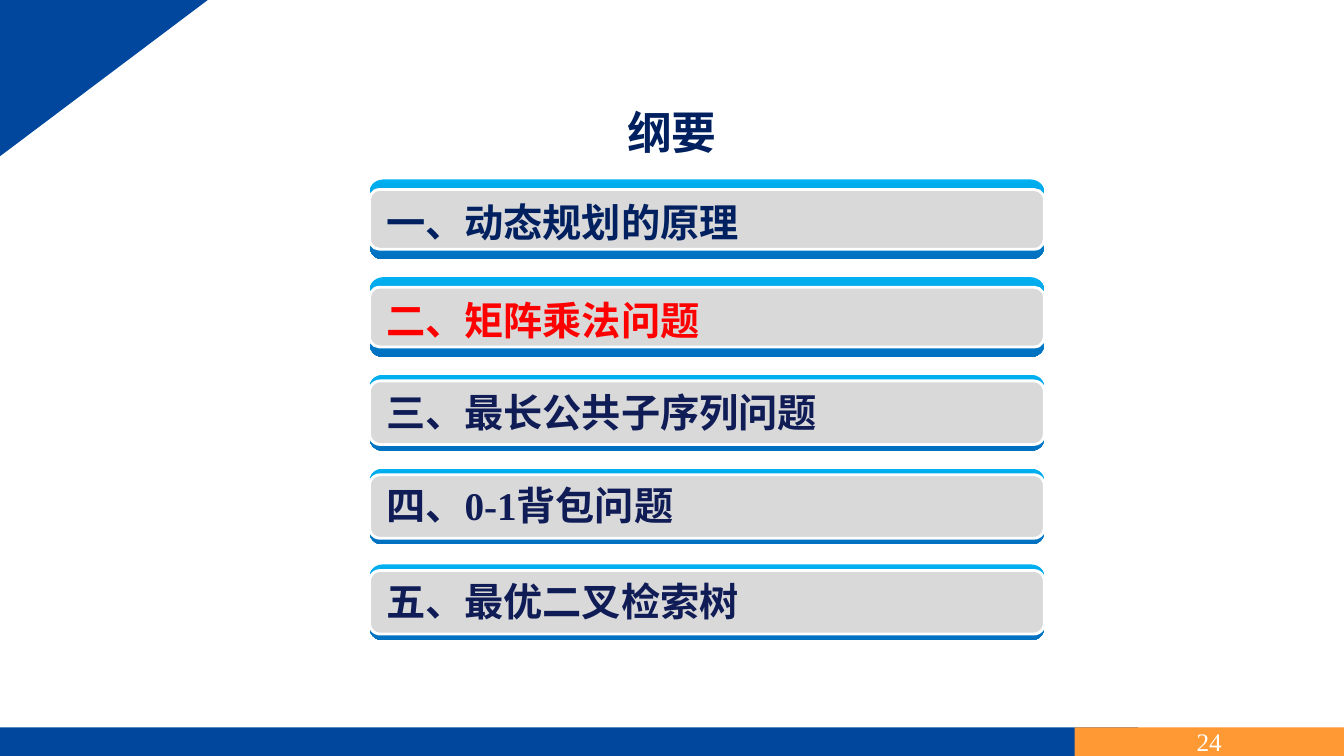
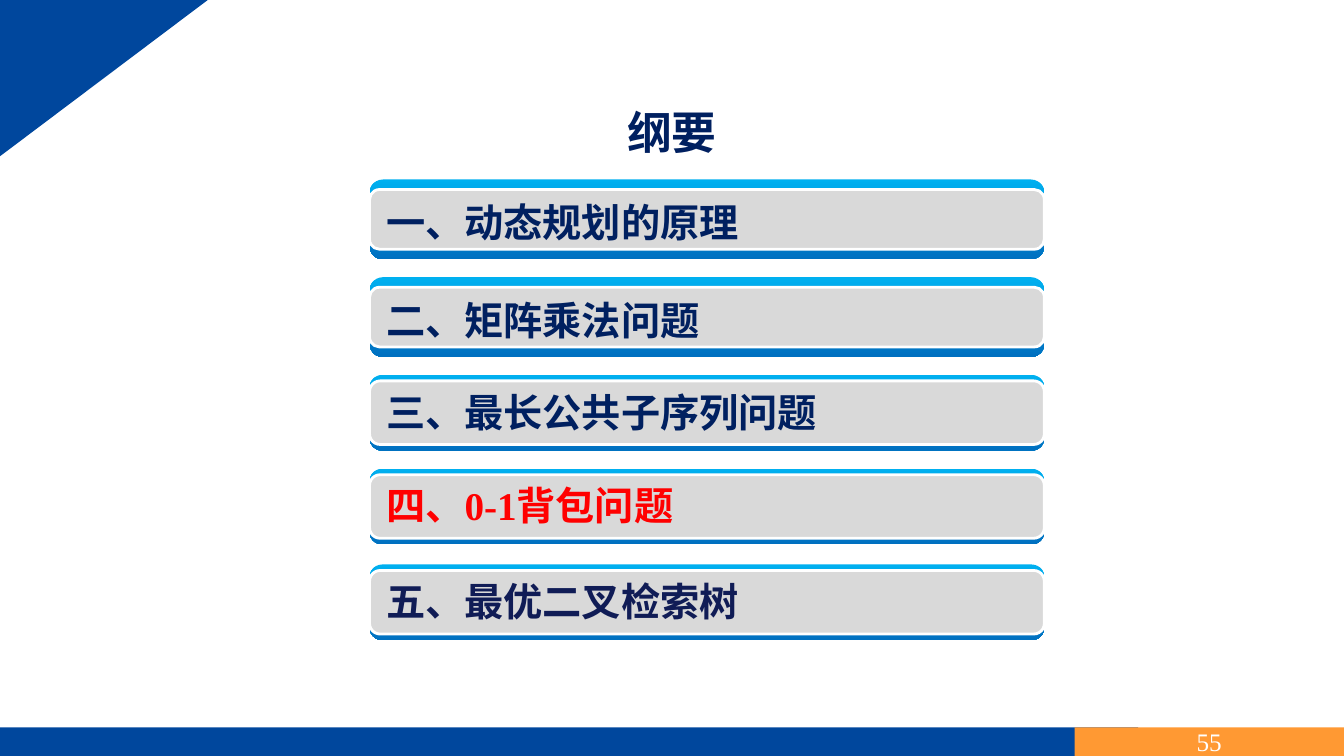
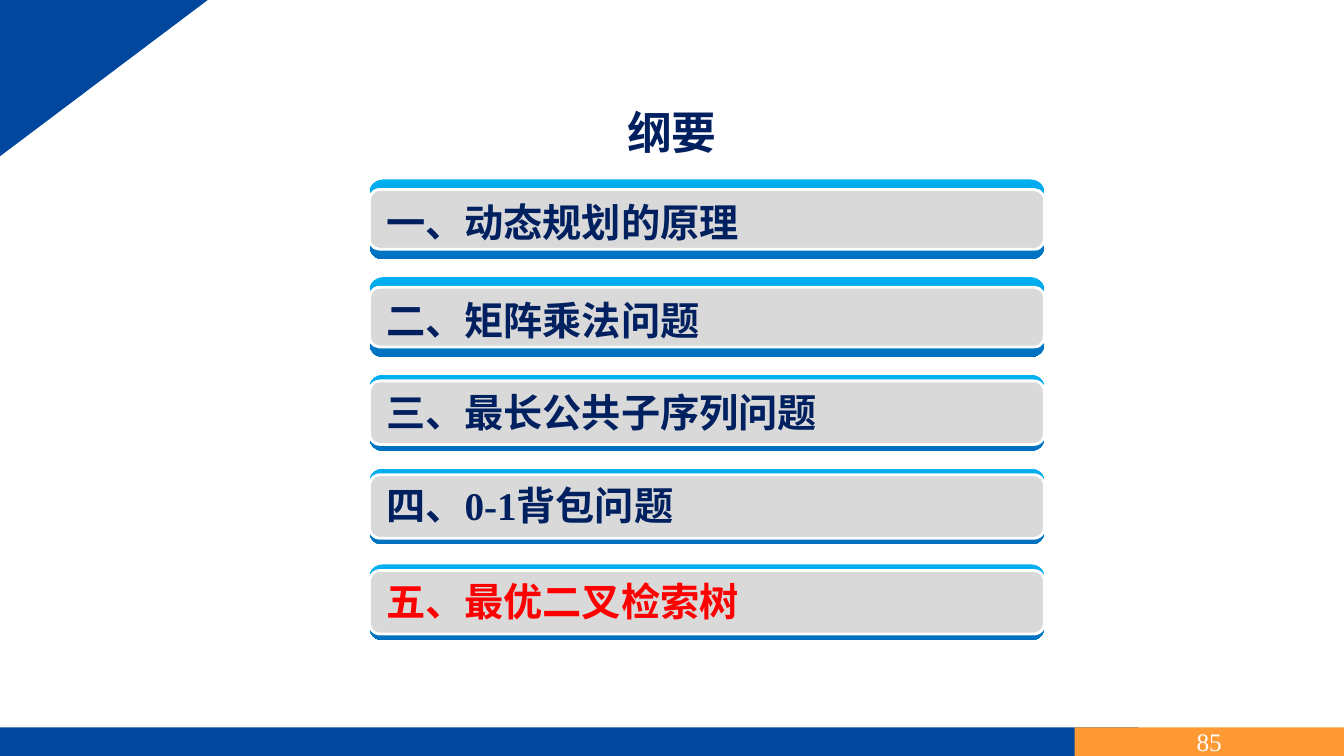
from dataclasses import dataclass

from pptx import Presentation
from pptx.dml.color import RGBColor
from pptx.enum import shapes, text
from pptx.util import Pt


@dataclass(frozen=True)
class Theme:
    font: str = "Times New Roman"
    blue: str = "00479D"
    orange: str = "FF9933"
    white: str = "FFFFFF"
    face: str = "D9D9D9"
    rim_top: str = "00B0F0"
    rim_bottom: str = "0070C0"
    navy: str = "002060"
    upcoming: str = "101C56"
    current: str = "FF0000"
    title_size: int = 32
    topic_size: int = 28
    number_size: int = 18


@dataclass(frozen=True)
class BarStyle:
    height: float
    rim: float
    text_drop: float


THEME = Theme()
SHAPE = shapes.MSO_SHAPE
SLIDE_WIDTH, SLIDE_HEIGHT = 960, 540
FOOTER_TOP, FOOTER_HEIGHT = 519.6, 20.4
BAR_LEFT, BAR_WIDTH = 264, 482
THICK = BarStyle(height=57, rim=7.2, text_drop=10)
THIN = BarStyle(height=54, rim=4.3, text_drop=5.8)

TOPICS = [
    ("一、动态规划的原理", 128.2, THICK),
    ("二、矩阵乘法问题", 198, THICK),
    ("三、最长公共子序列问题", 267.8, THIN),
    ("四、0-1背包问题", 334.8, THIN),
    ("五、最优二叉检索树", 403.2, THIN),
]
# Page number and index of the current topic
PAGES = [(24, 1), (55, 3), (85, 4)]


def color(value):
    return RGBColor.from_string(value)


def write(shape, words, *, size, fill, bold=False, align=text.PP_ALIGN.LEFT):
    para = shape.text_frame.paragraphs[0]
    para.alignment = align
    span = para.add_run()
    span.text = words
    span.font.name = THEME.font
    span.font.size = Pt(size)
    span.font.bold = bold
    span.font.color.rgb = color(fill)


def add_text(parent, words, left, top, width, height, **style):
    box = parent.shapes.add_textbox(Pt(left), Pt(top), Pt(width), Pt(height))
    box.text_frame.word_wrap = True
    box.text_frame.auto_size = text.MSO_AUTO_SIZE.SHAPE_TO_FIT_TEXT
    write(box, words, bold=True, **style)


def add_block(parent, kind, left, top, width, height, fill, outline=None):
    """Add a preset shape; a pair of fill colours makes a downward gradient."""
    block = parent.shapes.add_shape(kind, Pt(left), Pt(top), Pt(width), Pt(height))
    block.shadow.inherit = False
    if isinstance(fill, tuple):
        block.fill.gradient()
        block.fill.gradient_angle = 270
        for stop, value in zip(block.fill.gradient_stops, fill):
            stop.color.rgb = color(value)
    else:
        block.fill.solid()
        block.fill.fore_color.rgb = color(fill)
    if outline:
        block.line.color.rgb = color(outline)
        block.line.width = Pt(2)
    else:
        block.line.fill.background()
    return block


def add_frame(page, number):
    """Add the footer bands, page number and corner triangle."""
    add_block(page, SHAPE.RECTANGLE, 0, FOOTER_TOP, 813, FOOTER_HEIGHT, THEME.blue)
    number_left = 767.5
    band = add_block(page, SHAPE.RECTANGLE, number_left, FOOTER_TOP,
                     SLIDE_WIDTH - number_left, FOOTER_HEIGHT, THEME.orange)
    frame = band.text_frame
    frame.margin_top = frame.margin_bottom = 0
    frame.vertical_anchor = text.MSO_ANCHOR.MIDDLE
    write(band, str(number), size=THEME.number_size, fill=THEME.white,
          align=text.PP_ALIGN.CENTER)

    across, down = 148.4, 111.6
    shift = (across - down) / 2
    corner = add_block(page, SHAPE.RIGHT_TRIANGLE, shift, -shift, down, across,
                       THEME.blue)
    corner.rotation = 90


def add_topic(page, words, top, style, fill):
    group = page.shapes.add_group_shape()
    add_block(group, SHAPE.ROUNDED_RECTANGLE, BAR_LEFT, top, BAR_WIDTH,
              style.height, (THEME.rim_top, THEME.rim_bottom))
    add_block(group, SHAPE.ROUNDED_RECTANGLE, BAR_LEFT, top + style.rim, BAR_WIDTH,
              style.height - 2 * style.rim, THEME.face, outline=THEME.white)
    add_text(group, words, BAR_LEFT + 4.8, top + style.text_drop, BAR_WIDTH - 10, 41,
             size=THEME.topic_size, fill=fill)


def topic_color(index, current):
    if index == current:
        return THEME.current
    return THEME.navy if index < current else THEME.upcoming


def add_outline(deck, number, current):
    page = deck.slides.add_slide(deck.slide_layouts[6])
    add_frame(page, number)
    add_text(page, "纲要", 322.4, 71.2, 315.2, 46, size=THEME.title_size,
             fill=THEME.navy, align=text.PP_ALIGN.CENTER)
    for index, (words, top, style) in enumerate(TOPICS):
        add_topic(page, words, top, style, topic_color(index, current))


def main():
    deck = Presentation()
    deck.slide_width, deck.slide_height = Pt(SLIDE_WIDTH), Pt(SLIDE_HEIGHT)
    for number, current in PAGES:
        add_outline(deck, number, current)
    deck.save("out.pptx")


if __name__ == "__main__":
    main()
